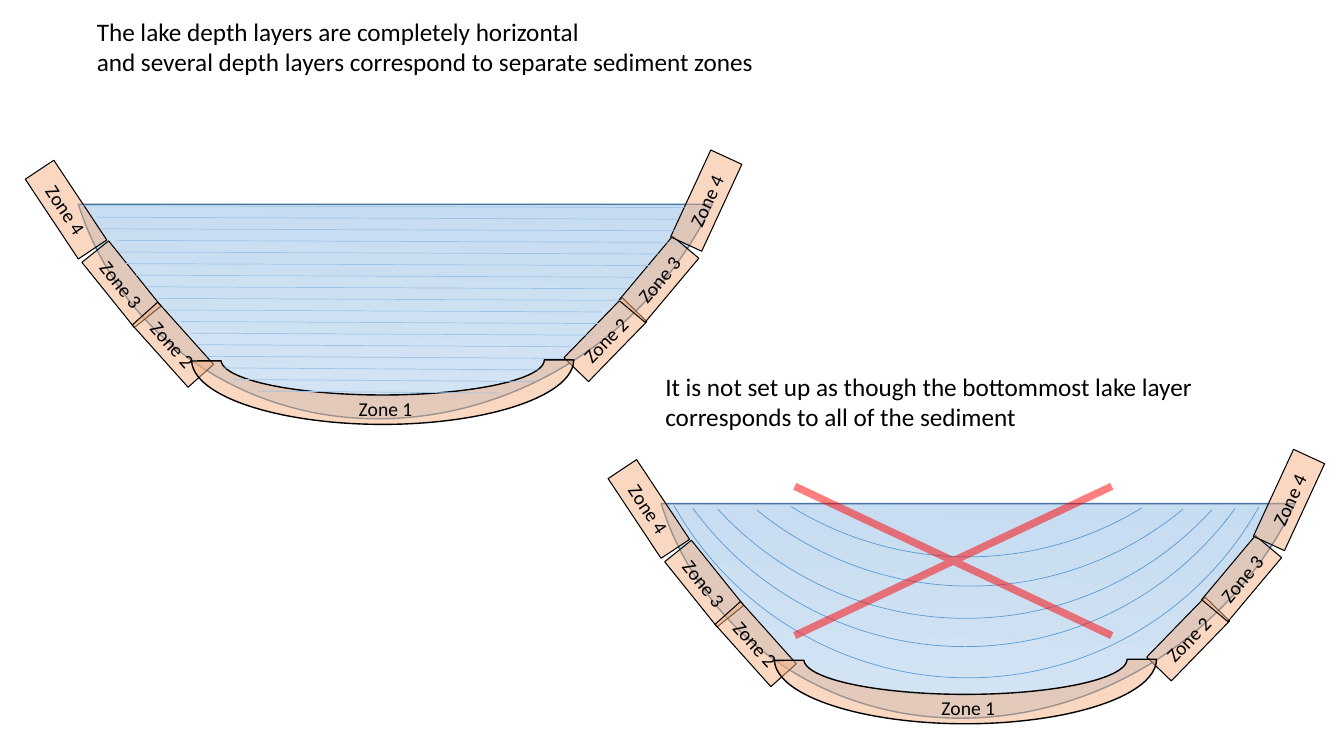
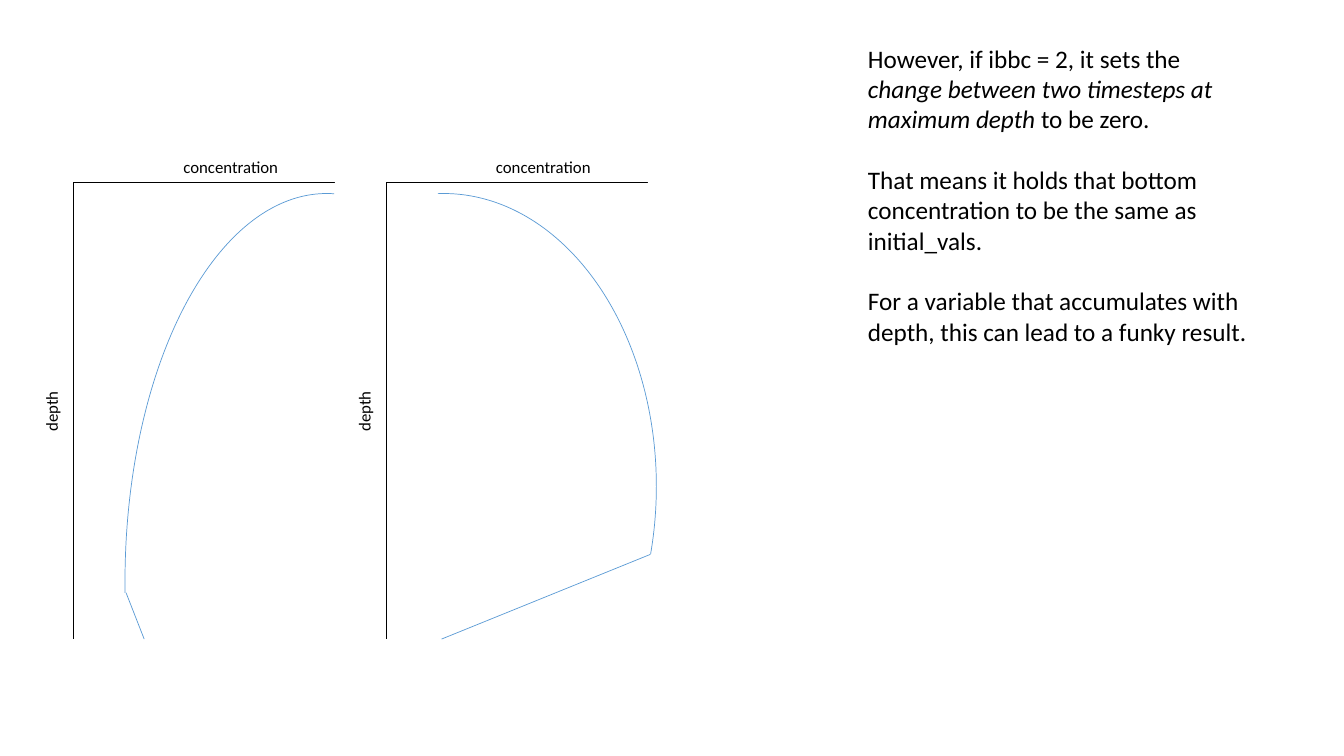
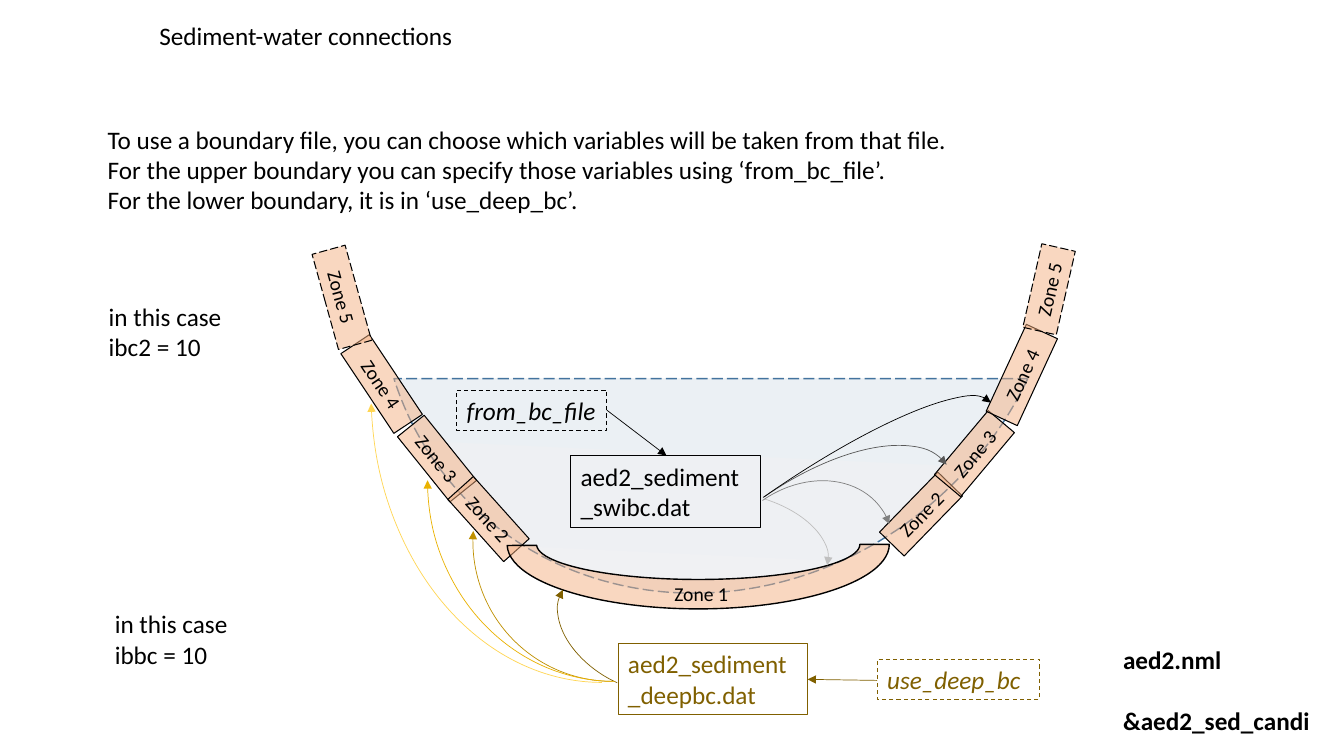
from lxml import etree
from pptx import Presentation
from pptx.dml.color import RGBColor
from pptx.enum.dml import MSO_LINE
from pptx.enum.shapes import MSO_CONNECTOR, MSO_SHAPE
from pptx.enum.text import MSO_ANCHOR, MSO_AUTO_SIZE, PP_ALIGN
from pptx.oxml.ns import qn
from pptx.util import Cm, Pt

RECT, ARC, CHORD = MSO_SHAPE.RECTANGLE, MSO_SHAPE.ARC, MSO_SHAPE.CHORD
BLOCK, CROSS = MSO_SHAPE.BLOCK_ARC, MSO_SHAPE.MATH_MULTIPLY
LINE, ELBOW = MSO_CONNECTOR.STRAIGHT, MSO_CONNECTOR.ELBOW
DASH, LONG = MSO_LINE.DASH, MSO_LINE.LONG_DASH
LEFT, MID = PP_ALIGN.LEFT, PP_ALIGN.CENTER
TOP = MSO_ANCHOR.TOP
FIXED, GROW = MSO_AUTO_SIZE.NONE, MSO_AUTO_SIZE.SHAPE_TO_FIT_TEXT

TITLE_ONLY, BLANK = 5, 6
FONT = "Calibri"
BLACK, PEACH, RED = "000000", "F4B183", "FF0000"
BLUE, PALE, NAVY, GOLD = "5B9BD5", "9DC3E6", "43739E", "806000"

ZONES = [
    ("Zone 4", 0.18, 1.91, 0.95, 56.4),
    ("Zone 3", 0.79, 2.65, 0.83, 51.2),
    ("Zone 2", 1.3, 3.25, 0.83, 48.1),
    ("Zone 2", 5.59, 3.2, 0.83, 314.2),
    ("Zone 3", 6.12, 2.6, 0.83, 310),
    ("Zone 4", 6.53, 1.82, 0.95, 294.8),
]
SHORES = [
    ("Zone 5", -0.23, 1.04, 0.98, 74.5),
    ("Zone 5", 6.85, 0.96, 0.85, 282.8),
]
LAYERS = [
    (0.81, 6.8), (0.96, 6.71), (0.99, 6.75), (1.14, 6.73), (1.18, 6.57),
    (1.23, 6.47), (1.35, 6.3), (1.45, 6.21), (1.55, 6.16), (1.65, 5.97),
    (1.8, 5.93), (1.87, 5.88), (1.95, 5.66), (2.05, 5.59), (2.21, 5.39),
    (2.32, 5.3), (2.55, 4.94),
]
BOWLS = [
    (6.26, 0.05, 144.93, 1.68),
    (6.23, -0.26, 148.89, 213.53),
    (6.24, -0.54, 152.78, 209.62),
    (6.28, -0.86, 157.49, 204.68),
    (6.26, -1.15, 162.38, 200.17),
]
FLOWS = [
    ((5.46, 5.77, 1.56, 1), 212.5, (150.45, 0), GOLD),
    ((6.66, 4.93, 1.58, 0.89), 17.2, (162, 0), "BFBFBF"),
    ((7.07, 4.83, 1.84, 1.49), 325, (162, 6.38), "808080"),
    ((6.36, 4.79, 3.33, 1.55), 325, (162, 0), "595959"),
    ((5.48, 4.84, 4.78, 1.05), 325, (162, 0), BLACK),
    ((4.69, 3.98, 2.77, 2.78), 180, (162, 2.54), "BF9000"),
    ((4.24, 2.77, 3.72, 3.99), 180, (162, 0), "EAB200"),
    ((3.68, 1.03, 4.58, 5.74), 180, (162, 214.45), "FFD653"),
]


def cms(*vals):
    """Turn inches into lengths."""
    return [Cm(val * 2.54) for val in vals]


def rgb(code):
    """Make a colour from a hex string."""
    return RGBColor.from_string(code)


def write(frame, lines, size=18, color=BLACK, align=LEFT, bold=False,
          slant=False, gap=0, fit=GROW):
    """Fill a frame with lines; text between stars is italic."""
    frame.auto_size = fit
    frame.text = "\n".join(line.split("*")[0] for line in lines)
    for row, (para, line) in enumerate(zip(frame.paragraphs, lines)):
        para.alignment = align
        if row:
            para.space_before = Pt(gap)
        for part in line.split("*")[1:]:
            para.add_run().text = part
        for spot, run in enumerate(para.runs):
            font = run.font
            font.name, font.size, font.bold = FONT, Pt(size), bold
            font.italic = slant or spot % 2 == 1
            font.color.rgb = rgb(color)


def note(slide, box, *lines, wrap=True, turn=0, **style):
    """Add a text box."""
    item = slide.shapes.add_textbox(*cms(*box))
    item.rotation = turn
    item.text_frame.word_wrap = wrap
    write(item.text_frame, lines, **style)


def head(slide, box, *lines):
    """Move and fill the title."""
    item = slide.shapes.title
    item.left, item.top, item.width, item.height = cms(*box)
    frame = item.text_frame
    frame.word_wrap = True
    frame.vertical_anchor = TOP
    write(frame, lines, fit=FIXED)


def pen(item, color, width, dash=None):
    """Set the outline of a shape or line."""
    item.line.color.rgb = rgb(color)
    item.line.width = Pt(width)
    if dash:
        item.line.dash_style = dash


def arrow(item):
    """Put an arrowhead at the end of a line."""
    edge = item._element.spPr.find(qn("a:ln"))
    etree.SubElement(edge, qn("a:tailEnd"), type="triangle")


def shape(slide, kind, box, turn=0, adj=(), fill=None):
    """Add a preset shape, with a half clear fill if one is given."""
    item = slide.shapes.add_shape(kind, *cms(*box))
    item.shadow.inherit = False
    item.rotation = turn
    for spot, val in enumerate(adj):
        item.adjustments[spot] = val
    if fill:
        item.fill.solid()
        item.fill.fore_color.rgb = rgb(fill)
        tint = item._element.spPr.find(qn("a:solidFill"))[0]
        etree.SubElement(tint, qn("a:alpha"), val="50000")
    else:
        item.fill.background()
    return item


def curve(slide, box, adj, color=BLUE, turn=0, tip=False):
    """Add a thin arc."""
    item = shape(slide, ARC, box, turn, adj)
    pen(item, color, 0.5)
    if tip:
        arrow(item)


def line(slide, ends, color, tip=False, kind=LINE):
    """Add a thin line."""
    item = slide.shapes.add_connector(kind, *cms(*ends))
    pen(item, color, 0.5)
    if tip:
        arrow(item)
    etree.SubElement(item._element.spPr, qn("a:effectLst"))
    return item


def axes(slide, left, top, width, height):
    """Add both axes as one elbow line, turned by a quarter."""
    midx, midy = left + width / 2, top + height / 2
    ends = (midx - height / 2, midy - width / 2,
            midx + height / 2, midy + width / 2)
    form = line(slide, ends, BLACK, kind=ELBOW)._element.spPr
    form.find(qn("a:xfrm")).set("rot", "5400000")
    bends = form.find(qn("a:prstGeom")).find(qn("a:avLst"))
    etree.SubElement(bends, qn("a:gd"), name="adj1", fmla="val -100")


def frame(slide, box, text, color, dash=None, slant=False):
    """Add an outlined box with text."""
    item = shape(slide, RECT, box)
    pen(item, color, 0.75, dash)
    write(item.text_frame, [text], color=color, slant=slant)


def zone(slide, dx, dy, spot, dash=None):
    """Add one tilted sediment zone."""
    name, left, top, width, turn = spot
    item = shape(slide, RECT, (left + dx, top + dy, width, 0.34), turn,
                 fill=PEACH)
    pen(item, BLACK, 0.75, dash)
    write(item.text_frame, [name], size=14, align=MID)


def lake(slide, dx, dy, tones=("DEEBF7", PALE), dash=None, sag=0):
    """Add the water body with its sediment zones."""
    water = shape(slide, CHORD, (0.51 + dx, dy - 2.45, 7.02, 6.48), 317.7,
                  (38.65, 120.85))
    water.fill.gradient()
    water.fill.gradient_angle = 45
    for stop, tone in zip(water.fill.gradient_stops, tones):
        stop.color.rgb = rgb(tone)
    pen(water, NAVY, 1, dash)
    for spot in ZONES:
        zone(slide, dx, dy, spot)
    bed = shape(slide, BLOCK, (1.9 + dx, 2.93 + dy + sag, 3.79, 1.28), 180,
                (108, 215.8, 0.228), PEACH)
    pen(bed, BLACK, 1)
    note(slide, (2.69 + dx, 3.89 + dy + sag, 2.27, 0.34), "Zone 1", size=14,
         align=MID)


def layers(deck):
    """Build the slide on lake layers."""
    slide = deck.slides.add_slide(deck.slide_layouts[TITLE_ONLY])
    head(slide, (0.86, 0.11, 7.39, 0.71),
         "The lake depth layers are completely horizontal",
         "and several depth layers correspond to separate sediment zones")
    lake(slide, 0, 0)
    for row, (left, right) in enumerate(LAYERS):
        top = 2.04 + 0.115 * row
        line(slide, (left, top, right, top + 0.02), PALE)
    lake(slide, 5.78, 2.97)
    for left, top, start, stop in BOWLS:
        curve(slide, (left, top, 6.64, 6.68), (start, stop), turn=147.9)
    note(slide, (6.5, 3.63, 6.65, 0.71),
         "It is not set up as though the bottommost lake layer "
         "corresponds to all of the sediment")
    cross = shape(slide, CROSS, (6.43, 4.14, 6.05, 2.85), adj=(0.026,),
                  fill=RED)
    cross.line.fill.background()


def graph(slide, left):
    """Add the axes and labels of a depth profile."""
    axes(slide, left, 1.81, 2.59, 4.53)
    note(slide, (left + 0.99, 1.51, 1.15, 0.3), "concentration", size=12,
         wrap=False)
    note(slide, (left - 0.52, 3.93, 0.6, 0.3), "depth", size=12, wrap=False,
         turn=270)


def depths(deck):
    """Build the slide on depth profiles."""
    slide = deck.slides.add_slide(deck.slide_layouts[BLANK])
    for left in (0.73, 3.83):
        graph(slide, left)
    curve(slide, (1.24, 1.92, 4, 7.7), (106.09, 162.66))
    line(slide, (1.25, 5.88, 1.43, 6.34), BLUE)
    curve(slide, (2.29, 1.92, 4.22, 5.81), (161.34, 10.87))
    line(slide, (4.38, 6.34, 6.45, 5.5), BLUE)
    note(slide, (8.51, 0.38, 4.02, 3.13),
         "However, if ibbc = 2, it sets the *change between two timesteps "
         "at maximum depth* to be zero.",
         "That means it holds that bottom concentration to be the same as "
         "initial_vals.",
         "For a variable that accumulates with depth, this can lead to a "
         "funky result.", gap=21.8)


def links(deck):
    """Build the slide on sediment and water links."""
    slide = deck.slides.add_slide(deck.slide_layouts[TITLE_ONLY])
    head(slide, (1.48, 0.15, 9.19, 0.4), "Sediment-water connections")
    lake(slide, 3.13, 1.73, ("F2F2F2", "DEEBF7"), LONG, 0.1)
    for spot in SHORES:
        zone(slide, 3.13, 1.74, spot, LONG)
    frame(slide, (4.53, 3.87, 1.49, 0.4), "from_bc_file", BLACK, DASH, True)
    frame(slide, (8.7, 6.54, 1.61, 0.4), "use_deep_bc", GOLD, DASH, True)
    for box, turn, adj, color in FLOWS:
        curve(slide, box, adj, color, turn, True)
    frame(slide, (5.66, 4.52, 1.88, 0.71), "aed2_sediment_swibc.dat", BLACK)
    line(slide, (6.02, 4.07, 6.61, 4.52), BLACK, True)
    frame(slide, (6.13, 6.38, 1.88, 0.71), "aed2_sediment_deepbc.dat", GOLD)
    line(slide, (8.7, 6.75, 8.01, 6.74), GOLD, True)
    note(slide, (11.04, 6.34, 1.98, 0.4), "aed2.nml", bold=True)
    note(slide, (11.04, 6.95, 2.09, 0.4), "&aed2_sed_candi", bold=True)
    note(slide, (0.98, 2.94, 1.47, 0.71), "in this case ibc2 = 10")
    note(slide, (1.04, 5.99, 1.47, 0.71), "in this case ibbc = 10")
    note(slide, (0.97, 1.18, 10.54, 1.01),
         "To use a boundary file, you can choose which variables will be "
         "taken from that file.",
         "For the upper boundary you can specify those variables using "
         "‘from_bc_file’.",
         "For the lower boundary, it is in ‘use_deep_bc’.")


def main():
    """Build and save the slides."""
    deck = Presentation()
    deck.slide_width, deck.slide_height = cms(13.33, 7.5)
    layers(deck)
    depths(deck)
    links(deck)
    deck.save("out.pptx")


if __name__ == "__main__":
    main()
